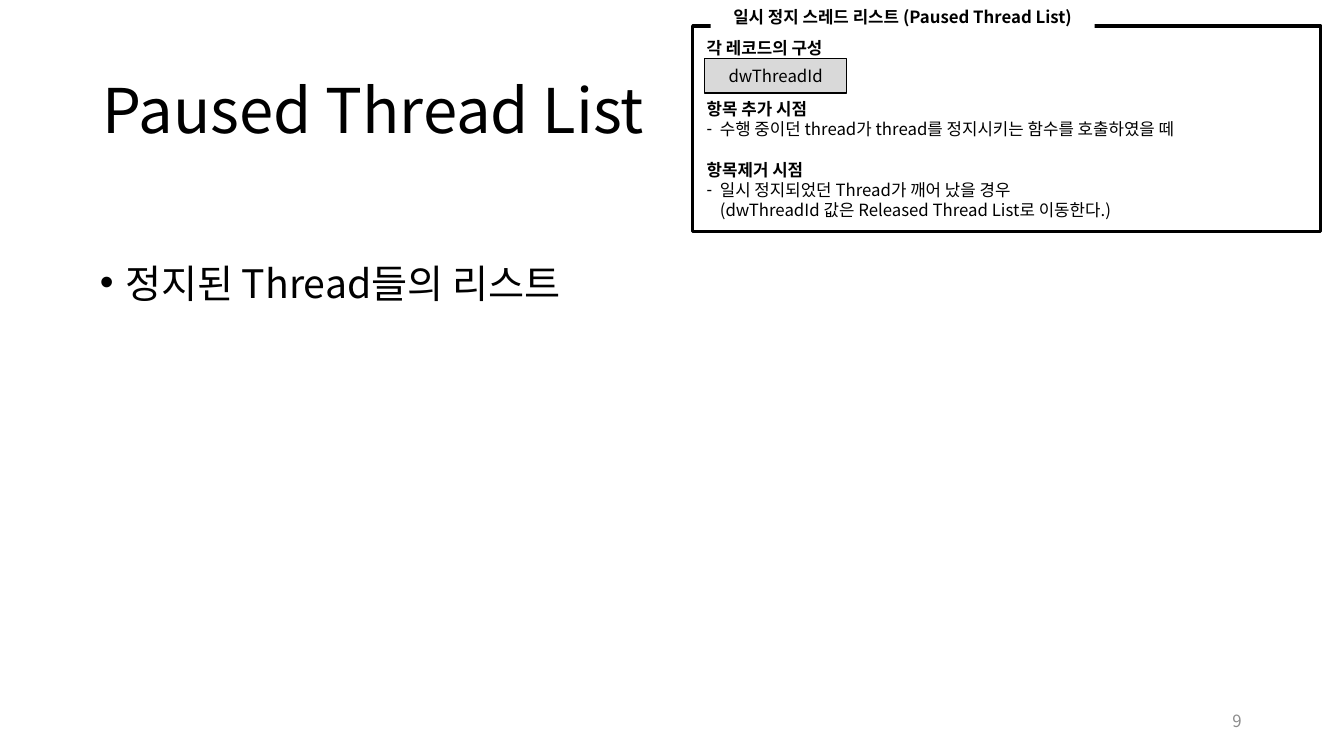
from pptx import Presentation
from pptx.dml.color import RGBColor
from pptx.enum.shapes import MSO_SHAPE
from pptx.enum.text import MSO_ANCHOR, MSO_AUTO_SIZE, PP_ALIGN
from pptx.oxml.ns import qn
from pptx.util import Inches, Pt
from lxml.etree import SubElement


def rgb(value):
    return RGBColor.from_string(value)


def assign(target, values):
    for name, value in values.items():
        setattr(target, name, value)


class SlideBuilder:
    FONT = "Noto Sans CJK KR"
    BLACK, GREY, PALE, WHITE = "000000", "8C8C8C", "D9D9D9", "FFFFFF"
    COLUMNS, ROWS = 160, 90

    def __init__(self, prs):
        self.prs = prs
        self.s = prs.slides.add_slide(prs.slide_layouts[1])
        self.group = self.s.shapes.add_group_shape().shapes

    def grid(self, left, top, width, height):
        col = self.prs.slide_width / self.COLUMNS
        row = self.prs.slide_height / self.ROWS
        return [round(n * unit) for n, unit in
                zip((left, top, width, height), (col, row, col, row))]

    def set_text(self, p, text, size=12, color=BLACK, bold=False, **layout):
        p.text = text
        assign(p, layout)
        for r in p.runs:
            assign(r.font, {"name": self.FONT, "size": Pt(size), "bold": bold})
            r.font.color.rgb = rgb(color)
            SubElement(r.font._element, qn("a:ea"), typeface=self.FONT)

    def bullet(self, p, char, indent):
        pPr = p._p.get_or_add_pPr()
        pPr.set("marL", str(Inches(indent)))
        pPr.set("indent", str(-Inches(indent)))
        SubElement(pPr, qn("a:buFont"), typeface="Arial")
        SubElement(pPr, qn("a:buChar"), char=char)

    def frame_format(self, sp, anchor=MSO_ANCHOR.MIDDLE, **values):
        tf = sp.text_frame
        assign(tf, {"word_wrap": True, "auto_size": MSO_AUTO_SIZE.NONE,
                    "vertical_anchor": anchor, **values})
        return tf

    def placeholder(self, index, cells, text, size, anchor, char=None, **layout):
        sp = self.s.placeholders[index]
        assign(sp, dict(zip(("left", "top", "width", "height"), self.grid(*cells))))
        p = self.frame_format(sp, anchor).paragraphs[0]
        self.set_text(p, text, size, alignment=PP_ALIGN.LEFT, **layout)
        if char:
            self.bullet(p, char, 0.25)

    def textbox(self, cells, text, **style):
        sp = self.s.shapes.add_textbox(*self.grid(*cells))
        self.set_text(self.frame_format(sp).paragraphs[0], text, **style)

    def box(self, cells, fill=None, line=0, text=None, **style):
        sp = self.group.add_shape(MSO_SHAPE.RECTANGLE, *self.grid(*cells))
        sp.shadow.inherit = False
        if fill:
            sp.fill.solid()
            sp.fill.fore_color.rgb = rgb(fill)
        else:
            sp.fill.background()
        if line:
            sp.line.color.rgb = rgb(self.BLACK)
            sp.line.width = Pt(line)
        else:
            sp.line.fill.background()
        tf = self.frame_format(sp)
        if text:
            self.set_text(tf.paragraphs[0], text, alignment=PP_ALIGN.CENTER, **style)
        return sp

    def sections(self, sp, items):
        pitch = 14.5
        tf = self.frame_format(sp, margin_left=Inches(0.14))
        layout = {"alignment": PP_ALIGN.LEFT, "line_spacing": Pt(pitch)}
        p = tf.paragraphs[0]
        for heading, detail, blank_lines in items:
            if blank_lines:
                p = tf.add_paragraph()
            self.set_text(p, heading, bold=True, space_before=Pt(pitch * blank_lines), **layout)
            if detail:
                p = tf.add_paragraph()
                self.set_text(p, detail, **layout)
                self.bullet(p, "-", 0.13)


prs = Presentation()
assign(prs, {"slide_width": Inches(13.33), "slide_height": Inches(7.5)})
b = SlideBuilder(prs)

b.placeholder(0, (11, 4.8, 138, 17.4), "Paused Thread List", 44,
              MSO_ANCHOR.MIDDLE, line_spacing=0.9)
b.placeholder(1, (10.7, 31.3, 149.3, 6.2), "정지된 Thread들의 리스트", 28,
              MSO_ANCHOR.TOP, "•", line_spacing=0.8, space_before=Pt(10))
b.textbox((113, 83.4, 36, 4.8), "9", color=b.GREY, alignment=PP_ALIGN.RIGHT)

record_frame = b.box((82.45, 3.1, 74.8, 24.5), line=2.25)
b.sections(record_frame, [
    ("각 레코드의 구성", None, 0),
    ("항목 추가 시점", "수행 중이던 thread가 thread를 정지시키는 함수를 호출하였을 떼", 2),
    ("항목제거 시점", "일시 정지되었던 Thread가 깨어 났을 경우\v"
     "(dwThreadId 값은 Released Thread List로 이동한다.)", 1),
])
b.box((83.9, 7, 16.9, 4.1), b.PALE, 1, "dwThreadId")
b.box((84.6, -0.6, 45.7, 5.2), b.WHITE, text="일시 정지 스레드 리스트 (Paused Thread List)", bold=True)

prs.save("out.pptx")
